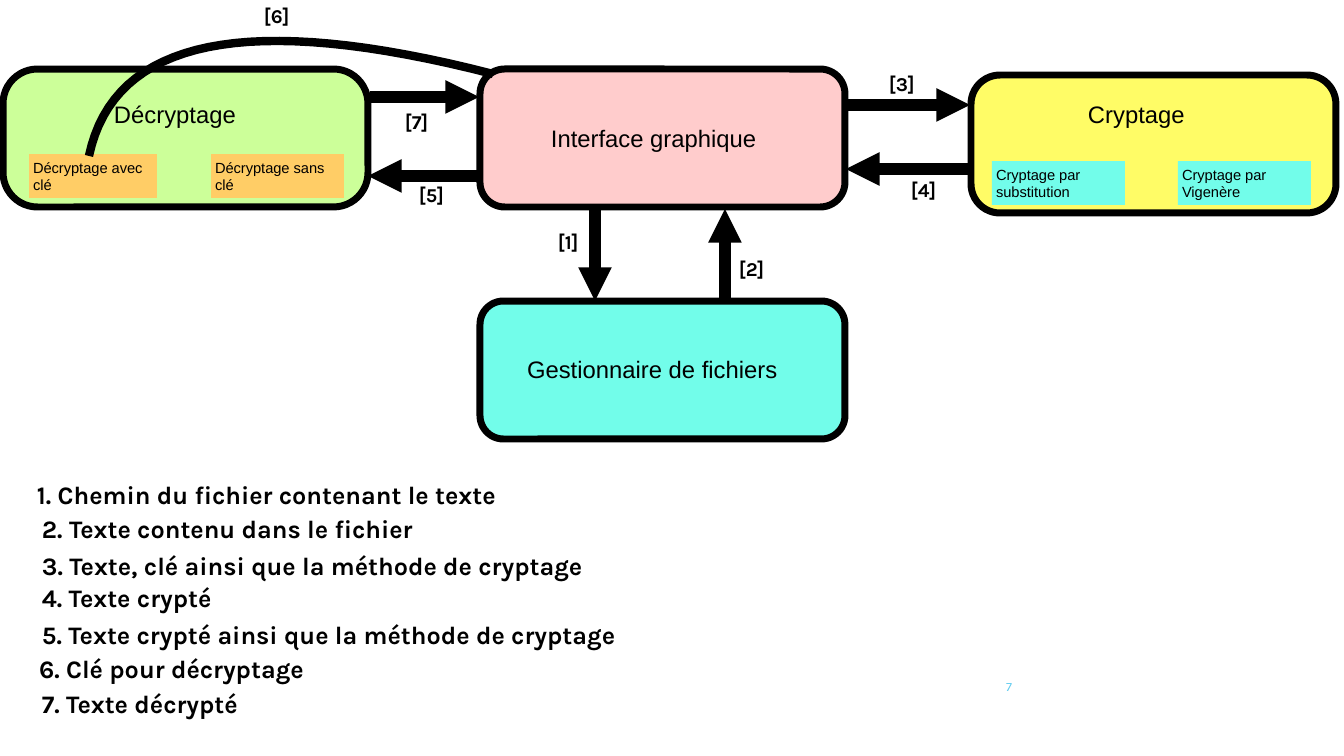
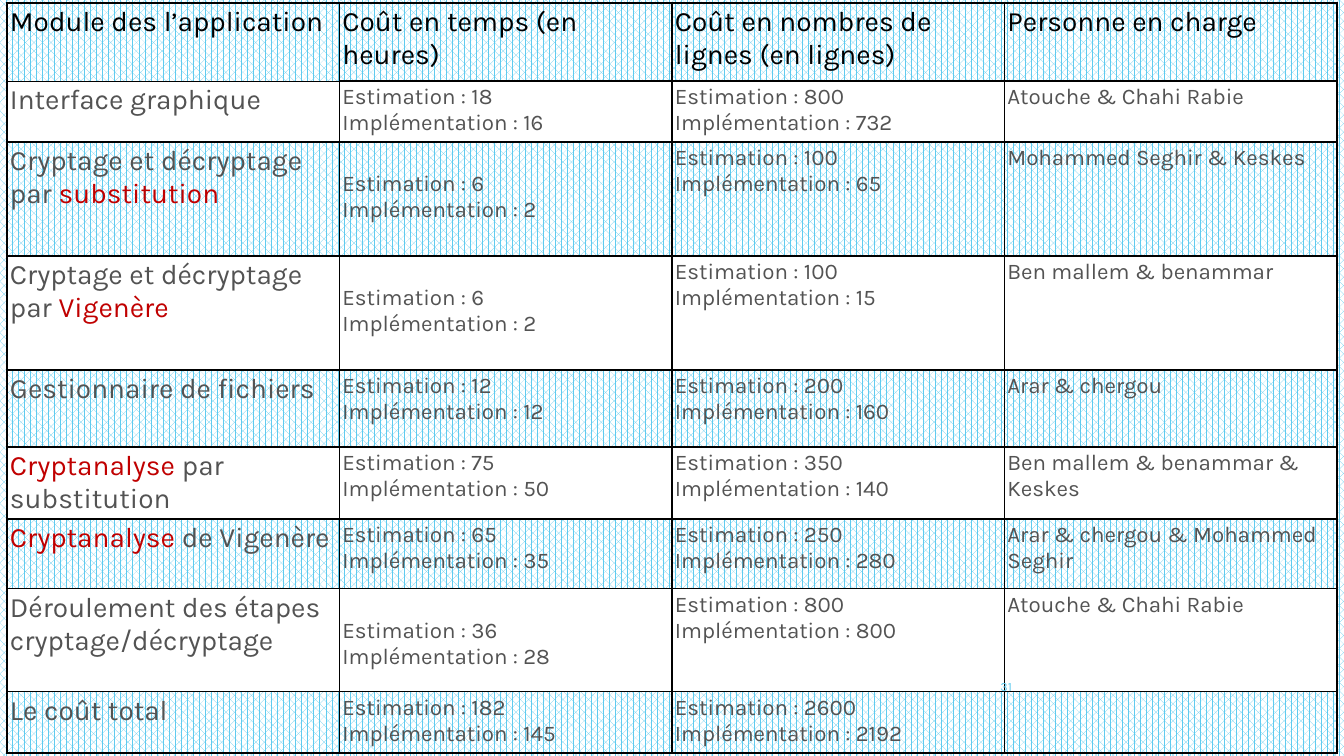
from dataclasses import dataclass

from lxml import etree
from pptx import Presentation
from pptx.dml.color import RGBColor
from pptx.enum.dml import MSO_PATTERN
from pptx.enum.shapes import MSO_CONNECTOR, MSO_SHAPE
from pptx.enum.text import MSO_ANCHOR, MSO_AUTO_SIZE, PP_ALIGN
from pptx.oxml.ns import qn
from pptx.util import Emu, Pt

ROUND, RECT = MSO_SHAPE.ROUNDED_RECTANGLE, MSO_SHAPE.RECTANGLE
LINE = MSO_CONNECTOR.STRAIGHT
TOP, MIDDLE = MSO_ANCHOR.TOP, MSO_ANCHOR.MIDDLE
LEFT, RIGHT = PP_ALIGN.LEFT, PP_ALIGN.RIGHT
FIT = MSO_AUTO_SIZE.SHAPE_TO_FIT_TEXT
DOTS = MSO_PATTERN.PERCENT_60

SCALE = 914400 / 100.8
BLACK, WHITE, GREY, RED, BLUE = "000000", "FFFFFF", "535353", "C00000", "5FCBEF"
PINK, AQUA, LIME, YELLOW, ORANGE = "FFCCCC", "72FDEA", "CCFF99", "FFFC66", "FFCD66"
SANS, KARLA = "Arial", "Karla"
NO_STYLE = "{2D5ABB26-0587-4C30-8999-92F81FD0307C}"


@dataclass
class Card:
    x: int
    y: int
    fill: str
    curve: float
    text: str
    text_x: int
    text_y: int
    text_w: int


@dataclass
class Chip:
    x: int
    y: int
    w: int
    fill: str
    text: str


@dataclass
class Arrow:
    start: tuple[int, int]
    end: tuple[int, int]


@dataclass
class Note:
    x: int
    y: int
    w: int
    text: str


@dataclass
class Row:
    high: int
    name: str
    hours: str
    lines: str
    staff: str
    drop: int = 0


# Shared helpers
def px(n: float) -> Emu:
    return Emu(round(n * SCALE))


def box(x: float, y: float, w: float, h: float) -> list[Emu]:
    return [px(n) for n in (x, y, w, h)]


def rgb(code: str) -> RGBColor:
    return RGBColor.from_string(code)


def write(frame, text: str, size: float, font: str = KARLA, color: str = BLACK,
          bold: bool = False, align=LEFT) -> None:
    """Fill a frame; a newline starts a paragraph, *stars* mark red words."""
    for i, line in enumerate(text.split("\n")):
        para = frame.paragraphs[0] if i == 0 else frame.add_paragraph()
        para.alignment = align
        for j, part in enumerate(line.split("*")):
            if part:
                run = para.add_run()
                run.text = part
                run.font.size, run.font.name, run.font.bold = Pt(size), font, bold
                run.font.color.rgb = rgb(RED if j % 2 else color)


def pad(frame, side: int, top: int) -> None:
    frame.margin_left = frame.margin_right = px(side)
    frame.margin_top = frame.margin_bottom = px(top)


def label(slide, place: list[Emu], text: str, side: int = 4, top: int = 4,
          wrap: bool = False, fit: bool = True, anchor=MIDDLE, **style) -> None:
    frame = slide.shapes.add_textbox(*place).text_frame
    frame.word_wrap = wrap
    if fit:
        frame.auto_size = FIT
    frame.vertical_anchor = anchor
    pad(frame, side, top)
    write(frame, text, **style)


def number(slide, text: str) -> None:
    label(slide, box(946, 667, 76, 40), text, side=10, top=5, wrap=True, fit=False,
          size=9, color=BLUE, align=RIGHT)


# Diagram parts
def draw_card(slide, card: Card) -> None:
    shape = slide.shapes.add_shape(ROUND, *box(card.x, card.y, 365, 138))
    shape.shadow.inherit = False
    shape.adjustments[0] = card.curve
    shape.fill.solid()
    shape.fill.fore_color.rgb = rgb(card.fill)
    shape.line.color.rgb = rgb(BLACK)
    shape.line.width = Pt(5)
    label(slide, box(card.text_x, card.text_y, card.text_w, 36), card.text,
          wrap=True, size=17, font=SANS)


def draw_chip(slide, chip: Chip) -> None:
    shape = slide.shapes.add_shape(RECT, *box(chip.x, chip.y, chip.w, 44))
    shape.shadow.inherit = False
    shape.fill.solid()
    shape.fill.fore_color.rgb = rgb(chip.fill)
    shape.line.fill.background()
    frame = shape.text_frame
    frame.word_wrap = True
    frame.vertical_anchor = MIDDLE
    pad(frame, 4, 4)
    write(frame, chip.text, size=10.5, font=SANS)


def draw_arrow(slide, arrow: Arrow) -> None:
    ends = [px(n) for n in (*arrow.start, *arrow.end)]
    line = slide.shapes.add_connector(LINE, *ends)
    line.line.color.rgb = rgb(BLACK)
    line.line.width = Pt(8)
    props = line.element.spPr
    etree.SubElement(props.find(qn("a:ln")), qn("a:tailEnd"), type="triangle")
    etree.SubElement(props, qn("a:effectLst"))


def draw_curve(slide, knots: list[tuple[int, int]], steps: int = 32) -> None:
    """Draw a cubic Bezier curve through short segments."""
    def spot(t: float) -> tuple[int, int]:
        parts = ((1 - t) ** 3, 3 * t * (1 - t) ** 2, 3 * t * t * (1 - t), t ** 3)
        x, y = (sum(p * k[axis] for p, k in zip(parts, knots)) for axis in (0, 1))
        return px(x), px(y)

    spots = [spot(i / steps) for i in range(steps + 1)]
    pen = slide.shapes.build_freeform(*spots[0])
    pen.add_line_segments(spots[1:], close=False)
    shape = pen.convert_to_shape()
    shape.shadow.inherit = False
    shape.fill.background()
    shape.line.color.rgb = rgb(BLACK)
    shape.line.width = Pt(6)


# Table parts
def edge(cell, widths: dict[str, float]) -> None:
    props = cell._tc.get_or_add_tcPr()
    for side, width in widths.items():
        line = etree.SubElement(props, qn(f"a:ln{side}"), w=str(Pt(width)))
        fill = etree.SubElement(line, qn("a:solidFill"))
        etree.SubElement(fill, qn("a:srgbClr"), val=BLACK)


def draw_table(slide, rows: list[Row]) -> None:
    last, wide = len(rows) - 1, 1330
    shape = slide.shapes.add_table(len(rows), 4, *box(7, 3, wide, sum(r.high for r in rows)))
    next(shape.element.iter(qn("a:tableStyleId"))).text = NO_STYLE
    table = shape.table
    table.first_row = table.horz_banding = False
    for col in table.columns:
        col.width = px(wide / 4)
    for i, row in enumerate(rows):
        table.rows[i].height = px(row.high)
        for j, text in enumerate((row.name, row.hours, row.lines, row.staff)):
            cell = table.cell(i, j)
            edge(cell, {"L": 2 if j == 0 else 1,
                        "R": 2 if j == 3 else 1,
                        "T": 2 if i == 0 else 0.25 if (i, j) == (1, 0) else 1,
                        "B": 2 if i == last else 0.25 if (i, j) == (0, 0) else 1})
            if i % 2:
                cell.fill.solid()
                cell.fill.fore_color.rgb = rgb(WHITE)
            else:
                cell.fill.background()
            cell.vertical_anchor = TOP
            pad(cell, 3, 3)
            if j == 1:
                cell.margin_top = px(3 + row.drop)
            write(cell.text_frame, text, size=20 if i == 0 or j == 0 else 16,
                  color=GREY if i else BLACK)


def costs(plan: int, real: int) -> str:
    return f"Estimation : {plan}\nImplémentation : {real}"


deck = Presentation()
deck.slide_width, deck.slide_height = px(1344), px(756)
blank = deck.slide_layouts[6]

# Slide 1: modules and data flow
CARDS = [
    Card(971, 75, YELLOW, 0.21, "Cryptage", 1084, 96, 137),
    Card(480, 69, PINK, 0.18, "Interface graphique", 547, 120, 230),
    Card(480, 301, AQUA, 0.17, "Gestionnaire de fichiers", 523, 351, 278),
    Card(3, 69, LIME, 0.25, "Décryptage", 110, 96, 150),
]
CHIPS = [
    Chip(992, 161, 133, AQUA, "Cryptage par substitution"),
    Chip(1178, 161, 133, AQUA, "Cryptage par Vigenère"),
    Chip(211, 154, 133, ORANGE, "Décryptage sans clé"),
    Chip(29, 154, 128, ORANGE, "Décryptage avec clé"),
]
ARROWS = [
    Arrow((595, 209), (595, 301)), Arrow((725, 301), (725, 209)),
    Arrow((848, 105), (970, 105)), Arrow((971, 169), (846, 169)),
    Arrow((477, 176), (368, 176)), Arrow((370, 97), (479, 97)),
]
TAGS = [(555, 227), (736, 254), (886, 69), (908, 175), (416, 180), (261, 1), (402, 107)]
NOTES = [
    Note(27, 474, 504, "Chemin du fichier contenant le texte"),
    Note(32, 508, 400, "Texte contenu dans le fichier"),
    Note(32, 545, 575, "Texte, clé ainsi que la méthode de cryptage"),
    Note(32, 577, 203, "Texte crypté"),
    Note(32, 614, 607, "Texte crypté ainsi que la méthode de cryptage"),
    Note(29, 648, 293, "Clé pour décryptage"),
    Note(32, 683, 232, "Texte décrypté"),
]
flow = deck.slides.add_slide(blank)
flow.background.fill.solid()
flow.background.fill.fore_color.rgb = rgb(WHITE)
for card in CARDS:
    draw_card(flow, card)
for chip in CHIPS:
    draw_chip(flow, chip)
for arrow in ARROWS:
    draw_arrow(flow, arrow)
draw_curve(flow, [(89, 156), (114, 38), (248, 11), (493, 74)])
for n, (x, y) in enumerate(TAGS, 1):
    label(flow, box(x, y, 33, 29), f"[{n}]", side=3, top=3, size=14, bold=True)
for n, note in enumerate(NOTES, 1):
    label(flow, box(note.x, note.y, note.w, 40), f"{n}. {note.text}",
          side=10, top=5, anchor=TOP, size=18, bold=True)
number(flow, "7")

# Slide 2: cost of each module
ROWS = [
    Row(78, "Module des l’application", "Coût en temps (en heures)",
        "Coût en nombres de lignes (en lignes)", "Personne en charge"),
    Row(61, "Interface graphique", costs(18, 16), costs(800, 732), "Atouche & Chahi Rabie"),
    Row(114, "Cryptage et décryptage par *substitution*", costs(6, 2), costs(100, 65),
        "Mohammed Seghir & Keskes", 26),
    Row(114, "Cryptage et décryptage par *Vigenère*", costs(6, 2), costs(100, 15),
        "Ben mallem & benammar", 26),
    Row(77, "Gestionnaire de fichiers", costs(12, 12), costs(200, 160), "Arar & chergou"),
    Row(72, "*Cryptanalyse* par substitution", costs(75, 50), costs(350, 140),
        "Ben mallem & benammar & Keskes"),
    Row(70, "*Cryptanalyse* de Vigenère", costs(65, 35), costs(250, 280),
        "Arar & chergou & Mohammed Seghir"),
    Row(103, "Déroulement des étapes cryptage/décryptage", costs(36, 28), costs(800, 800),
        "Atouche & Chahi Rabie", 26),
    Row(61, "Le coût total", costs(182, 145), costs(2600, 2192), ""),
]
cost = deck.slides.add_slide(blank)
back = cost.background.fill
back.patterned()
back.pattern = DOTS
back.fore_color.rgb, back.back_color.rgb = rgb(BLUE), rgb(WHITE)
draw_table(cost, ROWS)
number(cost, "31")

deck.save("out.pptx")
